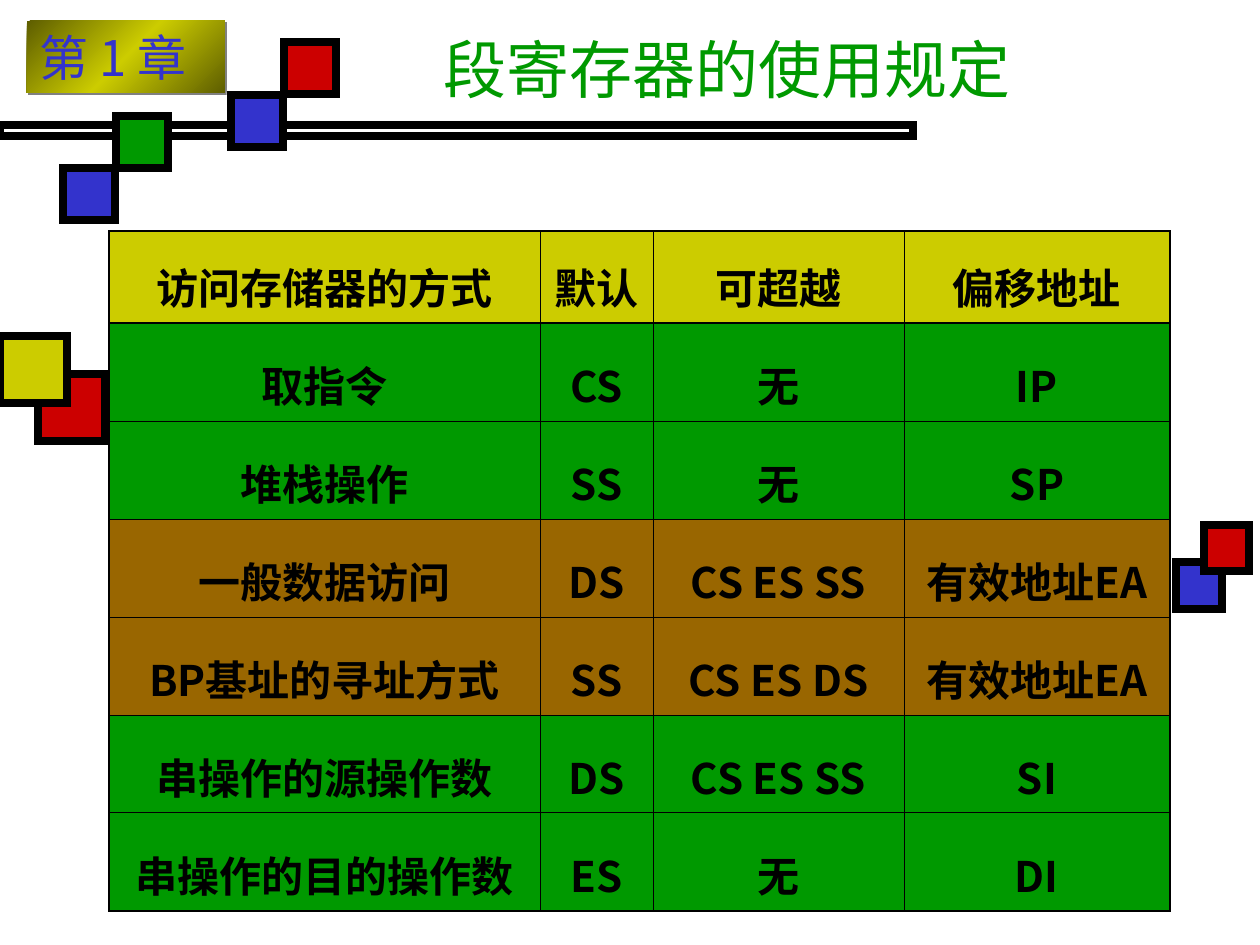
from lxml import etree
from pptx import Presentation
from pptx.dml.color import RGBColor
from pptx.enum.shapes import MSO_SHAPE
from pptx.enum.text import MSO_ANCHOR, PP_ALIGN
from pptx.oxml import parse_xml
from pptx.oxml.ns import nsdecls, qn
from pptx.util import Emu, Pt

PX = 914400 / 126
RECTANGLE = MSO_SHAPE.RECTANGLE
MIDDLE = MSO_ANCHOR.MIDDLE
LEFT, CENTER, JUSTIFY = PP_ALIGN.LEFT, PP_ALIGN.CENTER, PP_ALIGN.JUSTIFY

BLACK = RGBColor(0x00, 0x00, 0x00)
BLUE = RGBColor(0x33, 0x33, 0xCC)
RED = RGBColor(0xCC, 0x00, 0x00)
GREEN = RGBColor(0x00, 0x99, 0x00)
YELLOW = RGBColor(0xCC, 0xCC, 0x00)
BROWN = RGBColor(0x99, 0x66, 0x00)
OLIVE = RGBColor(0x5E, 0x5E, 0x00)
GRAY = RGBColor(0x80, 0x80, 0x80)

THICK, THIN = Pt(1.08), Pt(0.45)


def px(*lengths):
    return [Emu(round(length * PX)) for length in lengths]


def write(text_frame, text, font, size, color, align=LEFT, bold=False, spacing=None):
    paragraph = text_frame.paragraphs[0]
    paragraph.alignment = align
    paragraph.line_spacing = spacing
    run = paragraph.add_run()
    run.text = text
    run.font.name = font
    run.font.size = Pt(size)
    run.font.bold = bold
    run.font.color.rgb = color
    east_asian = etree.SubElement(run.font._element, qn("a:ea"))
    east_asian.set("typeface", font)


presentation = Presentation()
presentation.slide_width, presentation.slide_height = px(1260, 945)
slide = presentation.slides.add_slide(presentation.slide_layouts[6])

# Bar and decorative squares with sharp corners, from back to front
rectangles = [
    (0, 125, 913, 11, None),
    (1176, 562, 46, 47, BLUE),
    (1204, 525, 45, 46, RED),
    (231, 95, 52, 52, BLUE),
    (63, 168, 52, 52, BLUE),
    (116, 116, 52, 52, GREEN),
    (284, 42, 52, 52, RED),
    (38, 374, 67, 67, RED),
    (0, 336, 67, 67, YELLOW),
]
for left, top, width, height, color in rectangles:
    shape = slide.shapes.add_shape(RECTANGLE, *px(left, top, width, height))
    shape.shadow.inherit = False
    shape.line.color.rgb = BLACK
    shape.line.width = Pt(4.5)
    miter = etree.SubElement(shape._element.spPr.find(qn("a:ln")), qn("a:miter"))
    miter.set("lim", "800000")
    if color is None:
        shape.fill.background()
    else:
        shape.fill.solid()
        shape.fill.fore_color.rgb = color

# Chapter badge with a three-stop gradient and a small hard shadow
badge = slide.shapes.add_shape(RECTANGLE, *px(27, 21, 198, 72))
badge.line.fill.background()
properties = badge._element.spPr
stops = "".join(
    f'<a:gs pos="{position}"><a:srgbClr val="{color}"/></a:gs>'
    for position, color in [(0, OLIVE), (50000, YELLOW), (100000, OLIVE)]
)
properties.find(qn("a:prstGeom")).addnext(parse_xml(
    f'<a:gradFill {nsdecls("a")} rotWithShape="1"><a:gsLst>{stops}</a:gsLst>'
    '<a:lin ang="2700000" scaled="0"/></a:gradFill>'
))
properties.append(parse_xml(
    f'<a:effectLst {nsdecls("a")}><a:outerShdw blurRad="0" dist="{Pt(1.4)}" dir="2700000">'
    f'<a:srgbClr val="{GRAY}"/></a:outerShdw></a:effectLst>'
))
badge.text_frame.word_wrap = False
badge.text_frame.vertical_anchor = MSO_ANCHOR.TOP
write(badge.text_frame, "第 1 章", font="Noto Sans CJK JP", size=28, color=BLUE)

# Title
title = slide.shapes.add_textbox(*px(431, 10, 829, 116))
title.text_frame.word_wrap = True
title.text_frame.vertical_anchor = MIDDLE
write(title.text_frame, "段寄存器的使用规定", font="Cabin", size=36, color=GREEN, align=JUSTIFY)

# Table of segment registers
rows = [
    (YELLOW, "访问存储器的方式", "默认", "可超越", "偏移地址"),
    (GREEN, "取指令", "CS", "无", "IP"),
    (GREEN, "堆栈操作", "SS", "无", "SP"),
    (BROWN, "一般数据访问", "DS", "CS ES SS", "有效地址EA"),
    (BROWN, "BP基址的寻址方式", "SS", "CS ES DS", "有效地址EA"),
    (GREEN, "串操作的源操作数", "DS", "CS ES SS", "SI"),
    (GREEN, "串操作的目的操作数", "ES", "无", "DI"),
]
column_widths = px(431, 113, 251, 266)
row_heights = px(92, *[98] * 6)
last_row, last_column = len(rows) - 1, len(column_widths) - 1
table = slide.shapes.add_table(
    len(rows), len(column_widths), *px(109, 231, 1061, 680)
).table
table.first_row = False
table.horz_banding = False
for column, width in zip(table.columns, column_widths):
    column.width = width
for row, height in zip(table.rows, row_heights):
    row.height = height

for row_index, (fill_color, *texts) in enumerate(rows):
    for column_index, text in enumerate(texts):
        cell = table.cell(row_index, column_index)
        cell.vertical_anchor = MIDDLE
        write(cell.text_frame, text, font="Noto Sans CJK SC", size=24, color=BLACK,
              align=CENTER, bold=True, spacing=1.3 if row_index == 0 else 1.4)
        # Thick lines run round the table and under the header
        thick_sides = {
            "lnL": column_index == 0,
            "lnR": column_index == last_column,
            "lnT": row_index in (0, 1),
            "lnB": row_index in (0, last_row),
        }
        for side, thick in thick_sides.items():
            cell._tc.get_or_add_tcPr().append(parse_xml(
                f'<a:{side} {nsdecls("a")} w="{THICK if thick else THIN}">'
                f'<a:solidFill><a:srgbClr val="{BLACK}"/></a:solidFill></a:{side}>'
            ))
        cell.fill.solid()
        cell.fill.fore_color.rgb = fill_color

presentation.save("out.pptx")
